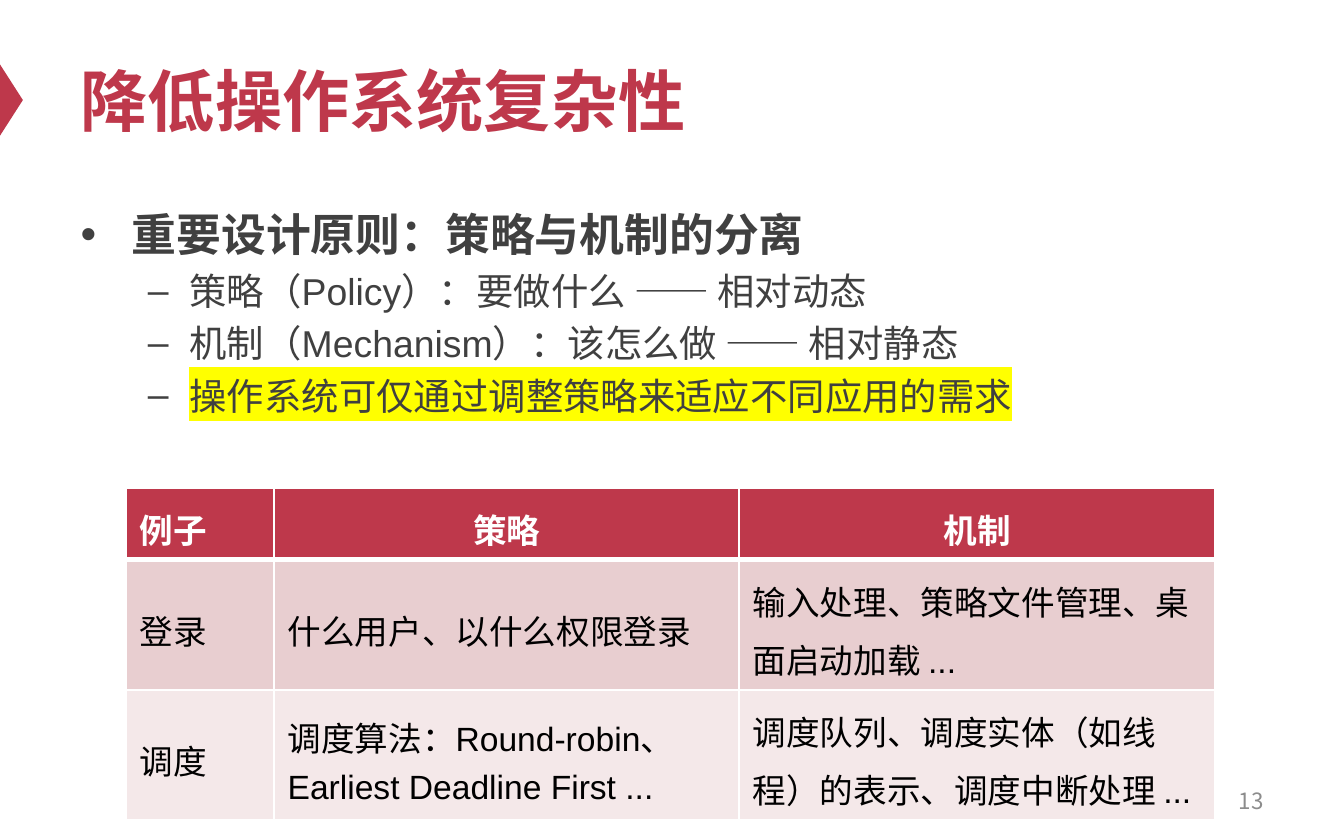
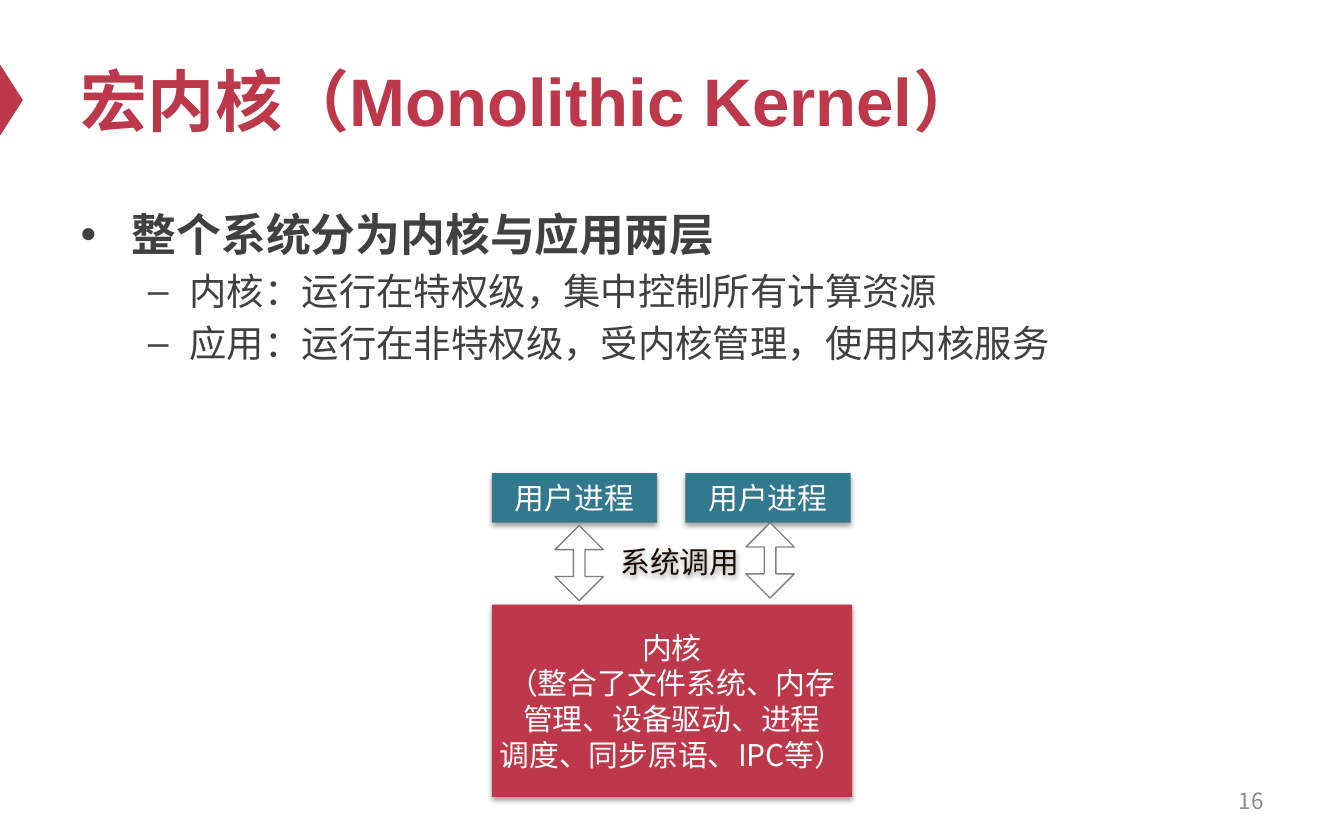
from dataclasses import dataclass

from lxml import etree
from pptx import Presentation
from pptx import util as u
from pptx.dml.color import RGBColor
from pptx.enum import shapes, text
from pptx.oxml import ns

RED = RGBColor(0xBE, 0x38, 0x4B)
TEAL = RGBColor(0x32, 0x78, 0x8E)
DARK = RGBColor(0x40, 0x40, 0x40)
GREY = RGBColor(0x8C, 0x8C, 0x8C)
EDGE = RGBColor(0x80, 0x80, 0x80)
INK = RGBColor(0x17, 0x0D, 0x01)
BLACK = RGBColor(0, 0, 0)
WHITE = RGBColor(0xFF, 0xFF, 0xFF)
ROSE = RGBColor(0xE8, 0xCE, 0xD0)
PALE = RGBColor(0xF4, 0xE8, 0xE9)
GLOW = RGBColor(0xFF, 0xFF, 0)

LATIN = "Arial"
HAN = "Noto Sans CJK SC"
WIDE, HIGH = u.Inches(10), u.Inches(6.25)
COLS, ROWS = 40, 25
LEFT, CENTER, RIGHT = text.PP_ALIGN.LEFT, text.PP_ALIGN.CENTER, text.PP_ALIGN.RIGHT
MIDDLE = text.MSO_ANCHOR.MIDDLE


def across(n: float) -> int:
    return round(WIDE * n / COLS)


def down(n: float) -> int:
    return round(HIGH * n / ROWS)


@dataclass(frozen=True)
class Box:
    col: float
    row: float
    wide: float
    high: float

    def spot(self) -> tuple[int, int, int, int]:
        return across(self.col), down(self.row), across(self.wide), down(self.high)


@dataclass(frozen=True)
class Type:
    size: int
    color: RGBColor
    face: str = HAN
    bold: bool = False


@dataclass(frozen=True)
class Level:
    type: Type
    left: float
    hang: float
    gap: int


@dataclass(frozen=True)
class Item:
    words: str
    level: int = 1
    mark: bool = False


@dataclass(frozen=True)
class Block:
    words: str
    box: Box
    fill: RGBColor


TITLE = Type(36, RED, LATIN, True)
NUMBER = Type(12, GREY)
LABEL = Type(16, INK)
LIGHT = Type(16, WHITE)
HEAD = Type(18, WHITE, LATIN, True)
CELL = Type(18, BLACK, LATIN)
LEVELS = [
    Level(Type(24, DARK, LATIN, True), 1.52, -1.52, 0),
    Level(Type(20, DARK, LATIN), 3.24, -1.24, 4),
]

GRID = [
    ["例子", "策略", "机制"],
    ["登录", "什么用户、以什么权限登录", "输入处理、策略文件管理、桌面启动加载 ..."],
    ["调度", "调度算法：Round-robin、Earliest Deadline First ...",
     "调度队列、调度实体（如线程）的表示、调度中断处理 ..."],
]

USER = Box(14.64, 14.08, 4.92, 1.48)
STEP = 5.76
BLOCKS = [
    Block("用户进程", Box(USER.col + i * STEP, USER.row, USER.wide, USER.high), TEAL)
    for i in range(2)
] + [
    Block("内核\n（整合了文件系统、内存\n管理、设备驱动、进程\n调度、同步原语、IPC等）",
          Box(14.64, 18, 10.72, 5.72), RED)
]
ARROWS = [Box(16.52, 15.64, 1.44, 2.24), Box(22.2, 15.56, 1.44, 2.24)]


def paint(node, color: RGBColor, tag: str = "a:srgbClr"):
    return etree.SubElement(node, ns.qn(tag), val=str(color))


def style(para, kind: Type, align=LEFT, mark: bool = False) -> None:
    para.alignment = align
    for run in para.runs:
        font = run.font
        font.size, font.bold, font.name = u.Pt(kind.size), kind.bold, kind.face
        font.color.rgb = kind.color
        props = run._r.get_or_add_rPr()
        props.set("lang", "zh-CN")
        latin = props.find(ns.qn("a:latin"))
        han = etree.Element(ns.qn("a:ea"), typeface=HAN)
        latin.addnext(han)
        if mark:
            glow = etree.Element(ns.qn("a:highlight"))
            paint(glow, GLOW)
            latin.addprevious(glow)


def write(shape, words: str, kind: Type, align=LEFT, wrap: bool = True) -> None:
    frame = shape.text_frame
    frame.word_wrap = wrap
    frame.auto_size = text.MSO_AUTO_SIZE.NONE
    frame.vertical_anchor = MIDDLE
    para = frame.paragraphs[0]
    para.text = words
    style(para, kind, align)


def place(shape, box: Box) -> None:
    shape.left, shape.top, shape.width, shape.height = box.spot()


def draw(group, form, box: Box, fill: RGBColor):
    shape = group.add_shape(form, *box.spot())
    shape.shadow.inherit = False
    shape.fill.solid()
    shape.fill.fore_color.rgb = fill
    shape.line.fill.background()
    return shape


def shade(shape) -> None:
    shape.shadow.inherit = False
    list_ = shape._element.spPr.find(ns.qn("a:effectLst"))
    cast = etree.SubElement(list_, ns.qn("a:outerShdw"), blurRad=str(u.Pt(3.1)),
                            dist=str(u.Pt(1.6)), dir="5400000", rotWithShape="0")
    etree.SubElement(paint(cast, BLACK), ns.qn("a:alpha"), val="38000")


def fill_list(body, items: list[Item]) -> None:
    place(body, Box(2, 5.84, 36, 16.48))
    frame = body.text_frame
    frame.auto_size = text.MSO_AUTO_SIZE.NONE
    frame.margin_top = down(0.32)
    for i, item in enumerate(items):
        para = frame.add_paragraph() if i else frame.paragraphs[0]
        para.text, para.level = item.words, item.level
        level = LEVELS[item.level]
        para.line_spacing, para.space_before = 1.0, u.Pt(level.gap)
        props = para._p.get_or_add_pPr()
        props.set("marL", str(across(level.left)))
        props.set("indent", str(across(level.hang)))
        style(para, level.type, mark=item.mark)


def start(deck, title: str, number: int, items: list[Item]):
    slide = deck.slides.add_slide(deck.slide_layouts[1])
    chevron = draw(slide.shapes, shapes.MSO_SHAPE.ISOSCELES_TRIANGLE,
                   Box(-0.72, 2.64, 2.12, 0.68), RED)
    chevron.rotation = 90
    place(slide.shapes.title, Box(2, 1, 36, 3.92))
    write(slide.shapes.title, title, TITLE)
    fill_list(slide.placeholders[1], items)
    folio = slide.shapes.add_textbox(*Box(28.68, 23.16, 9.32, 1.32).spot())
    write(folio, str(number), NUMBER, RIGHT)
    return slide


def frame_cell(cell, top: bool, under: bool) -> None:
    props = cell._tc.get_or_add_tcPr()
    widths = {"L": 1, "R": 1, "T": 3 if under else 1, "B": 3 if top else 1}
    for i, (side, size) in enumerate(widths.items()):
        line = etree.Element(ns.qn(f"a:ln{side}"), w=str(u.Pt(size)))
        paint(etree.SubElement(line, ns.qn("a:solidFill")), WHITE)
        props.insert(i, line)


def add_grid(slide) -> None:
    box = Box(3.76, 14.52, 32.4, 9.28)
    table = slide.shapes.add_table(len(GRID), len(GRID[0]), *box.spot()).table
    for col, wide in zip(table.columns, (4.4, 13.84, 14.16)):
        col.width = across(wide)
    for r, (row, high, fill) in enumerate(zip(GRID, (2, 3.64, 3.64), (RED, ROSE, PALE))):
        table.rows[r].height = down(high)
        for c, words in enumerate(row):
            cell = table.cell(r, c)
            cell.fill.solid()
            cell.fill.fore_color.rgb = fill
            frame_cell(cell, r == 0, r == 1)
            para = cell.text_frame.paragraphs[0]
            para.text, para.line_spacing = words, 1.2
            if r:
                cell.vertical_anchor = MIDDLE
            style(para, CELL if r else HEAD, LEFT if r or not c else CENTER)


def add_kernel(slide) -> None:
    group = slide.shapes.add_group_shape().shapes
    for block in BLOCKS:
        shape = draw(group, shapes.MSO_SHAPE.RECTANGLE, block.box, block.fill)
        shade(shape)
        write(shape, block.words, LIGHT, CENTER, False)
    for box in ARROWS:
        arrow = draw(group, shapes.MSO_SHAPE.UP_DOWN_ARROW, box, WHITE)
        arrow.adjustments[0], arrow.adjustments[1] = 0.5, 0.24
        arrow.line.color.rgb, arrow.line.width = EDGE, u.Pt(0.75)
    label = group.add_textbox(*Box(17.24, 15.96, 6, 1.48).spot())
    shade(label)
    write(label, "系统调用", LABEL, CENTER)


def main() -> None:
    deck = Presentation()
    deck.slide_width, deck.slide_height = WIDE, HIGH
    add_grid(start(deck, "降低操作系统复杂性", 13, [
        Item("重要设计原则：策略与机制的分离", 0),
        Item("策略（Policy）：要做什么 —— 相对动态"),
        Item("机制（Mechanism）：该怎么做 —— 相对静态"),
        Item("操作系统可仅通过调整策略来适应不同应用的需求", mark=True),
    ]))
    add_kernel(start(deck, "宏内核（Monolithic Kernel）", 16, [
        Item("整个系统分为内核与应用两层", 0),
        Item("内核：运行在特权级，集中控制所有计算资源"),
        Item("应用：运行在非特权级，受内核管理，使用内核服务"),
    ]))
    deck.save("out.pptx")


if __name__ == "__main__":
    main()
